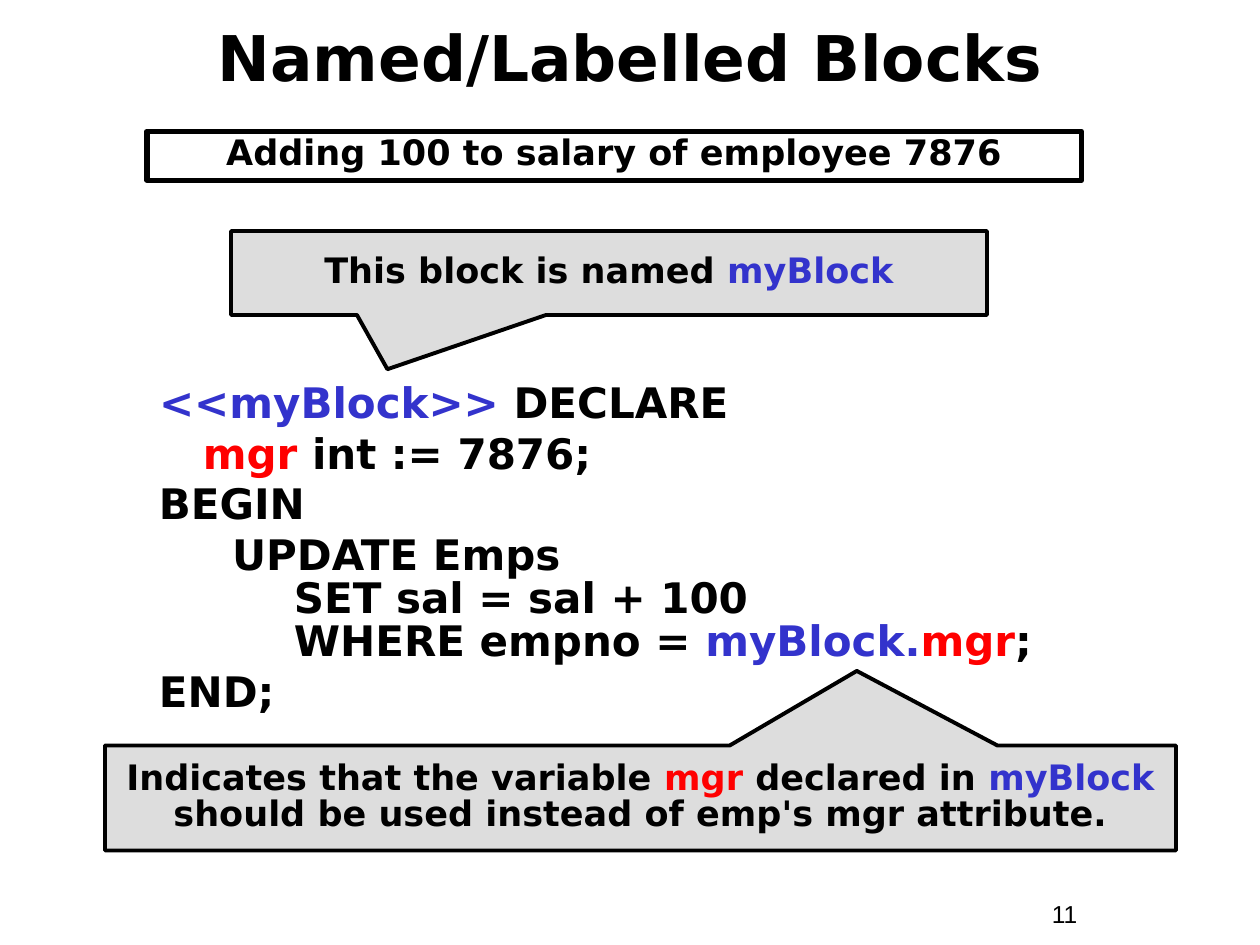
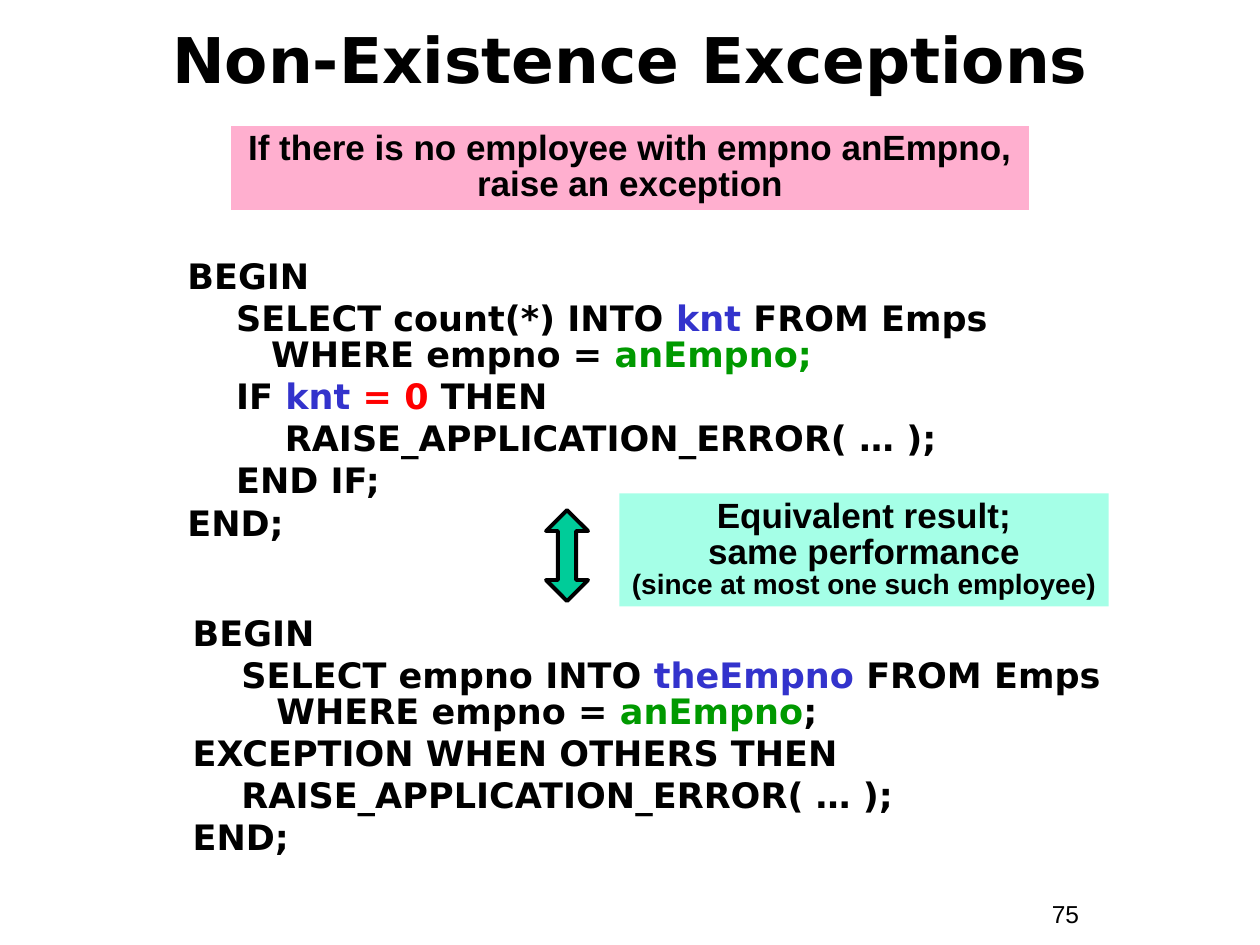
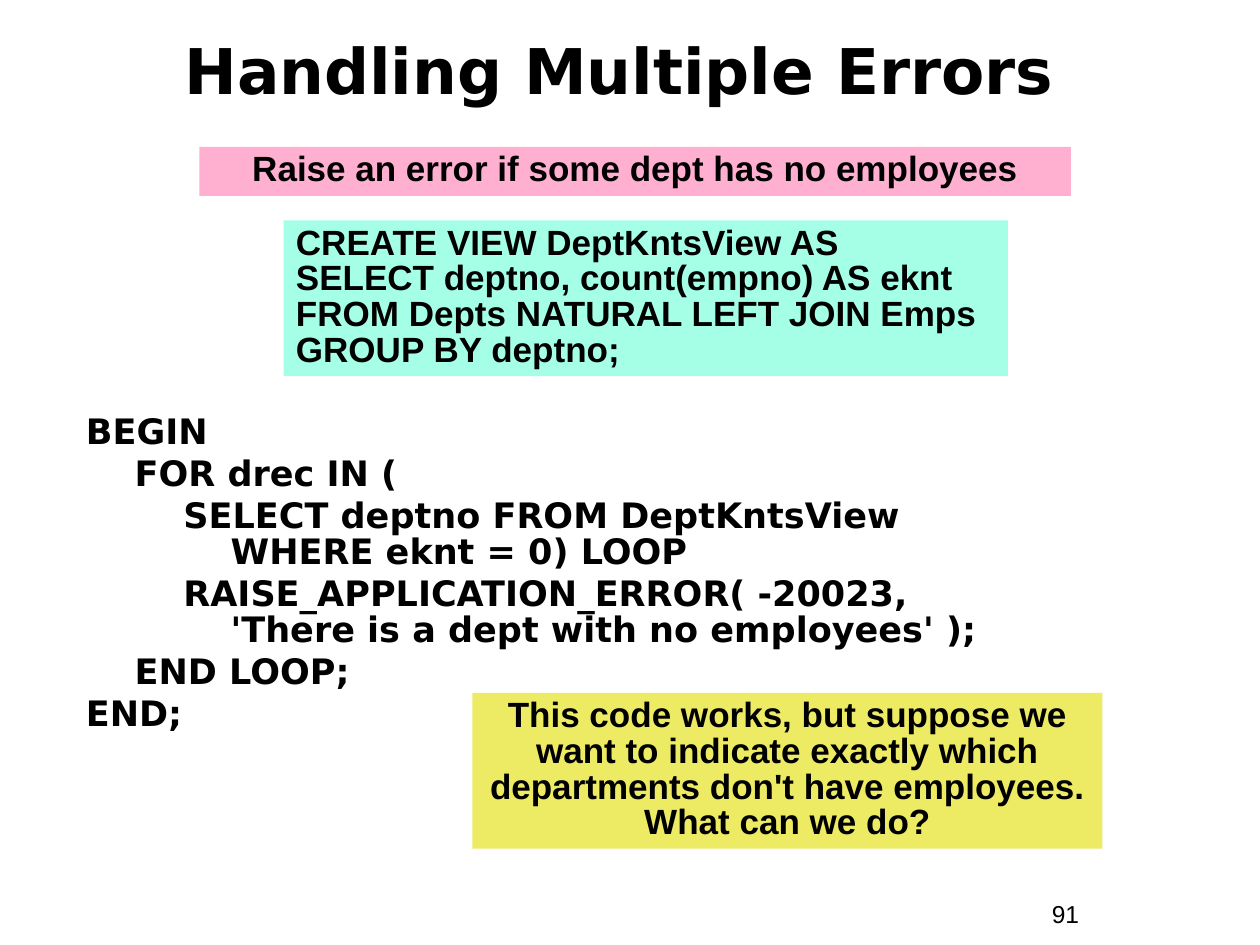
"""Build three slides on named blocks and exceptions in PL/SQL."""
from pptx import Presentation
from pptx.dml.color import RGBColor
from pptx.enum import shapes, text
from pptx.util import Pt

BLACK = RGBColor(0x00, 0x00, 0x00)
BLUE = RGBColor(0x33, 0x33, 0xCC)
RED = RGBColor(0xFF, 0x00, 0x00)
GREEN = RGBColor(0x00, 0x99, 0x00)
GREY = RGBColor(0xDD, 0xDD, 0xDD)
PINK = RGBColor(0xFF, 0xAF, 0xCF)
MINT = RGBColor(0xA5, 0xFF, 0xE7)
YELLOW = RGBColor(0xED, 0xEA, 0x63)
TEAL = RGBColor(0x00, 0xCC, 0x99)
CODE_FONT = "DejaVu Sans"
NOTE_FONT = "Arial"
RECT = shapes.MSO_SHAPE.RECTANGLE
CALLOUT = shapes.MSO_SHAPE.RECTANGULAR_CALLOUT
LEFT, CENTER = text.PP_ALIGN.LEFT, text.PP_ALIGN.CENTER
TOP, MIDDLE = text.MSO_ANCHOR.TOP, text.MSO_ANCHOR.MIDDLE


def write(box, paragraphs, font=CODE_FONT, size=20, bold=True, align=LEFT,
          anchor=TOP, spacing=0.85, gap=0, hanging=0):
    """Fill a box with paragraphs, each a list of (words, colour[, size]) spans."""
    frame = box.text_frame
    frame.word_wrap = True
    frame.vertical_anchor = anchor
    for index, spans in enumerate(paragraphs):
        para = frame.paragraphs[0] if index == 0 else frame.add_paragraph()
        para.alignment = align
        para.line_spacing = spacing
        para.space_before = Pt(gap if index else 0)
        if hanging:
            properties = para._p.get_or_add_pPr()
            properties.set("marL", str(Pt(hanging)))
            properties.set("indent", str(Pt(-hanging)))
        for words, colour, *own_size in spans:
            for number, line in enumerate(words.split("\n")):
                if number:
                    para.add_line_break()
                if line:
                    span = para.add_run()
                    span.text = line
                    span.font.name = font
                    span.font.size = Pt(own_size[0] if own_size else size)
                    span.font.bold = bold
                    span.font.color.rgb = colour


def add_panel(page, kind, place, fill=None, border=0, adjust=()):
    """Add a preset shape with a plain fill and an optional black border."""
    panel = page.shapes.add_shape(kind, *map(Pt, place))
    panel.shadow.inherit = False
    for index, value in enumerate(adjust):
        panel.adjustments[index] = value
    if fill is None:
        panel.fill.background()
    else:
        panel.fill.solid()
        panel.fill.fore_color.rgb = fill
    if border:
        panel.line.color.rgb = BLACK
        panel.line.width = Pt(border)
    else:
        panel.line.fill.background()
    return panel


deck = Presentation()
deck.slide_width, deck.slide_height = Pt(720), Pt(540)

pages = []
for title, number, top, height in [
    ("Named/Labelled Blocks", "11", 5, 54),
    ("Non-Existence Exceptions", "75", 6.5, 54),
    ("Handling Multiple Errors ", "91", 6.5, 66),
]:
    page = deck.slides.add_slide(deck.slide_layouts[6])
    pages.append(page)
    box = page.shapes.add_textbox(Pt(24), Pt(top), Pt(672), Pt(height))
    write(box, [[(title, BLACK)]], size=36, align=CENTER, anchor=MIDDLE, spacing=1.0)
    box = page.shapes.add_textbox(Pt(594), Pt(510), Pt(66), Pt(24.5))
    write(box, [[(number, BLACK)]], NOTE_FONT, 14, bold=False, spacing=1.0)
block_page, exception_page, errors_page = pages

named_block = [
    [("     ", BLACK), ("<<myBlock>>", BLUE), (" DECLARE", BLACK)],
    [("        ", BLACK), ("mgr", RED), (" int := 7876;", BLACK)],
    [("     BEGIN", BLACK)],
    [("          UPDATE Emps\n           SET sal = sal + 100\n           WHERE empno = ", BLACK),
     ("myBlock.", BLUE), ("mgr", RED), (";", BLACK)],
    [("     END;", BLACK)],
]
count_check = [
    [("BEGIN", BLACK)],
    [("    SELECT count(*) INTO ", BLACK), ("knt", BLUE),
     (" FROM Emps\n   WHERE empno = ", BLACK), ("anEmpno;", GREEN)],
    [("    IF ", BLACK), ("knt ", BLUE), ("= 0", RED), (" THEN", BLACK)],
    [("        RAISE_APPLICATION_ERROR( … );", BLACK)],
    [("    END IF;", BLACK)],
    [("END;", BLACK)],
]
exception_check = [
    [("BEGIN", BLACK)],
    [("    SELECT empno INTO ", BLACK), ("theEmpno", BLUE),
     (" FROM Emps\n   WHERE empno = ", BLACK), ("anEmpno", GREEN), (";", BLACK)],
    [("EXCEPTION WHEN OTHERS THEN", BLACK)],
    [("    RAISE_APPLICATION_ERROR( … );", BLACK)],
    [("END;", BLACK)],
]
error_loop = [
    [("BEGIN", BLACK)],
    [("    FOR drec IN (", BLACK)],
    [("        SELECT deptno FROM DeptKntsView\n        WHERE eknt = 0) LOOP", BLACK)],
    [("        RAISE_APPLICATION_ERROR( -20023,\n"
      "        'There is a dept with no employees' );", BLACK)],
    [("    END LOOP;", BLACK)],
    [("END;", BLACK)],
]
for page, place, code, size, gap in [
    (block_page, (42, 216, 594, 204), named_block, 24, 4.5),
    (exception_page, (100, 145.5, 557, 174), count_check, 20, 3.7),
    (exception_page, (103, 349.5, 557, 148), exception_check, 20, 3.7),
    (errors_page, (42, 234, 612, 195), error_loop, 20, 3.7),
]:
    box = page.shapes.add_textbox(*map(Pt, place))
    write(box, code, size=size, gap=gap, hanging=27)

task = add_panel(block_page, RECT, (84, 75, 534, 28), border=3)
write(task, [[("Adding 100 to salary of employee 7876", BLACK)]], align=CENTER)

for place, adjust, spans in [
    ((60, 426, 612, 60), (0.202, -1.21),
     [("Indicates that the variable ", BLACK), ("mgr", RED), (" declared in ", BLACK),
      ("myBlock", BLUE), (" should be used instead of emp's mgr attribute.", BLACK)]),
    ((132, 132, 432, 48), (-0.293, 1.146),
     [("This block is named ", BLACK), ("myBlock", BLUE)]),
]:
    callout = add_panel(block_page, CALLOUT, place, GREY, 2.25, adjust)
    write(callout, [spans], align=CENTER, anchor=MIDDLE)

add_panel(exception_page, shapes.MSO_SHAPE.UP_DOWN_ARROW, (312, 291.5, 24, 52),
          TEAL, 2.25, (0.5, 0.433))
equivalence = add_panel(exception_page, RECT, (354, 282, 279.5, 64.5), MINT)
write(equivalence, [[("Equivalent result;\nsame performance\n", BLACK),
                     ("(since at most one such employee)", BLACK, 16)]],
      NOTE_FONT, align=CENTER, anchor=MIDDLE)
equivalence.text_frame.word_wrap = False

for page, place, fill, align, words in [
    (exception_page, (132, 72, 456, 48), PINK, CENTER,
     "If there is no employee with empno anEmpno,\nraise an exception"),
    (errors_page, (114, 84, 498, 28), PINK, CENTER,
     "Raise an error if some dept has no employees"),
    (errors_page, (162, 126, 414, 89), MINT, LEFT,
     "CREATE VIEW DeptKntsView AS\nSELECT deptno, count(empno) AS eknt\n"
     "FROM Depts NATURAL LEFT JOIN Emps\nGROUP BY deptno;"),
    (errors_page, (270, 396, 360, 89), YELLOW, CENTER,
     "This code works, but suppose we want to indicate exactly which "
     "departments don't have employees. What can we do?"),
]:
    note = add_panel(page, RECT, place, fill)
    write(note, [[(words, BLACK)]], NOTE_FONT, align=align)

deck.save("out.pptx")
